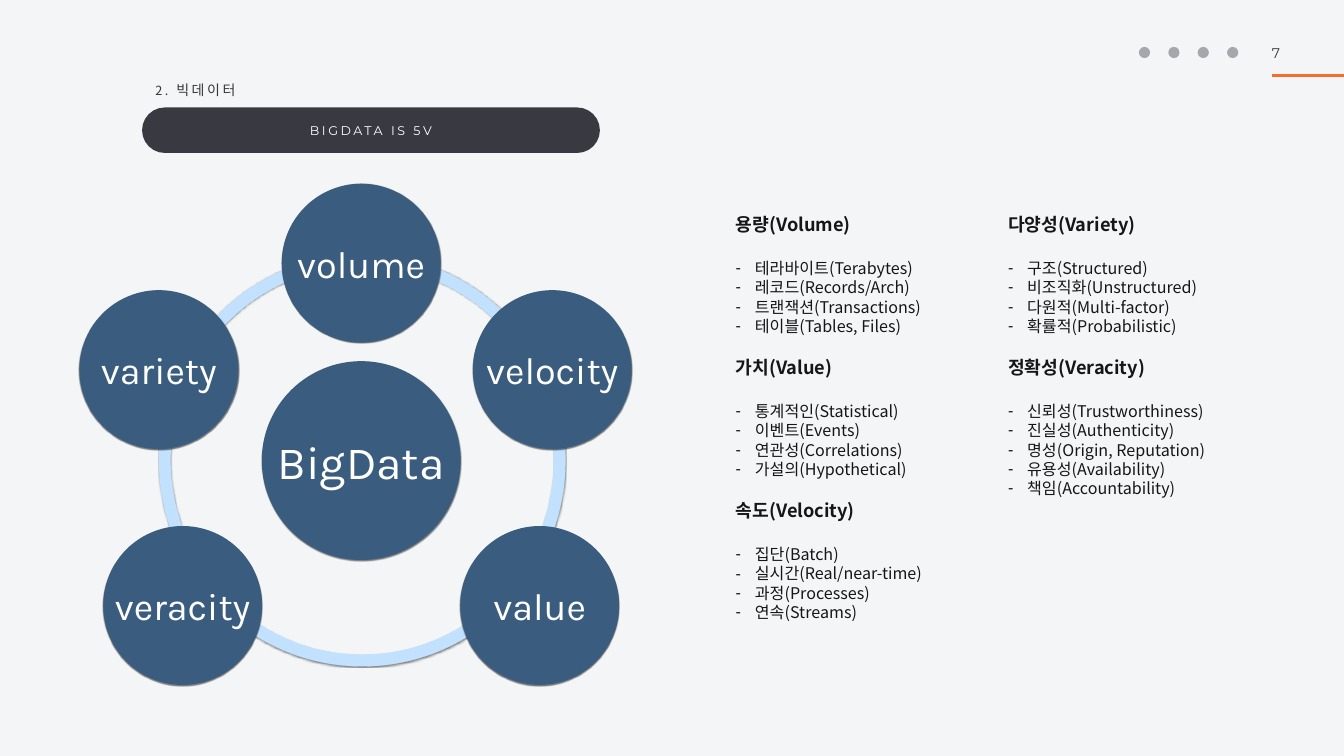
from lxml import etree
from pptx import Presentation
from pptx.dml.color import RGBColor
from pptx.enum import shapes as sh, text as tx
from pptx.oxml.ns import qn
from pptx.util import Pt

KOREAN = "Noto Sans CJK KR"
INK, NAVY, SKY, DARK = "151618", "395C7F", "C1E1FE", "393941"
BULLET_INDENT = 27.4

LEFT_TOPICS = [
    ("용량(Volume)", ["테라바이트(Terabytes)", "레코드(Records/Arch)",
                    "트랜잭션(Transactions)", "테이블(Tables, Files)"]),
    ("가치(Value)", ["통계적인(Statistical)", "이벤트(Events)",
                   "연관성(Correlations)", "가설의(Hypothetical)"]),
    ("속도(Velocity)", ["집단(Batch)", "실시간(Real/near-time)",
                      "과정(Processes)", "연속(Streams)"]),
]
RIGHT_TOPICS = [
    ("다양성(Variety)", ["구조(Structured)", "비조직화(Unstructured)",
                      "다원적(Multi-factor)", "확률적(Probabilistic)"]),
    ("정확성(Veracity)", ["신뢰성(Trustworthiness)", "진실성(Authenticity)",
                       "명성(Origin, Reputation)", "유용성(Availability)",
                       "책임(Accountability)"]),
]
# label, centre x, centre y, diameter, text size
BUBBLES = [
    ("BigData", 516, 658, 284, 66),
    ("velocity", 789, 528, 227, 54),
    ("volume", 516, 376, 227, 54),
    ("variety", 227, 528, 227, 54),
    ("value", 771, 865, 227, 54),
    ("veracity", 261, 865, 227, 54),
]


def color(value):
    return RGBColor.from_string(value)


def place(shape, left, top, width, height):
    shape.left, shape.top = Pt(left), Pt(top)
    shape.width, shape.height = Pt(width), Pt(height)


def set_frame(frame, anchor, inset=3, wrap=True):
    frame.auto_size = tx.MSO_AUTO_SIZE.NONE
    frame.word_wrap = wrap
    frame.vertical_anchor = anchor
    frame.margin_left = frame.margin_right = Pt(inset)
    frame.margin_top = frame.margin_bottom = Pt(inset)


def set_font(paragraph, name, size, ink, bold=False, tracking=0):
    """Format a whole paragraph; tracking is letter spacing in points."""
    font = paragraph.font
    font.name, font.size, font.bold = name, Pt(size), bold
    font.color.rgb = color(ink)
    if tracking:
        defaults = paragraph._p.pPr.find(qn("a:defRPr"))
        defaults.set("spc", str(round(tracking * 100)))


def set_bullet(paragraph, char=None):
    props = paragraph._p.get_or_add_pPr()
    indent = Pt(BULLET_INDENT) if char else 0
    props.set("marL", str(indent))
    props.set("indent", str(-indent))
    if char:
        etree.SubElement(props, qn("a:buChar")).set("char", char)
    else:
        etree.SubElement(props, qn("a:buNone"))


def add_solid(slide, kind, box, fill, line_width=0):
    solid = slide.shapes.add_shape(kind, *map(Pt, box))
    solid.shadow.inherit = False
    solid.fill.solid()
    solid.fill.fore_color.rgb = color(fill)
    if line_width:
        solid.line.color.rgb = color(fill)
        solid.line.width = Pt(line_width)
    else:
        solid.line.fill.background()
    return solid


def add_soft_shadow(shape):
    effects = shape._element.spPr.find(qn("a:effectLst"))
    shadow = etree.SubElement(effects, qn("a:outerShdw"), blurRad=str(Pt(1)),
                              dist=str(Pt(1)), dir="5400000", rotWithShape="0")
    black = etree.SubElement(shadow, qn("a:srgbClr"), val="000000")
    etree.SubElement(black, qn("a:alpha"), val="50000")


def add_label(shape, label, font_name, size, tracking=0):
    set_frame(shape.text_frame, tx.MSO_ANCHOR.MIDDLE, inset=0, wrap=False)
    paragraph = shape.text_frame.paragraphs[0]
    paragraph.text = label
    paragraph.alignment = tx.PP_ALIGN.CENTER
    set_font(paragraph, font_name, size, "FFFFFF", tracking=tracking)


def add_bubble(slide, label, x, y, diameter, size):
    box = (x - diameter / 2, y - diameter / 2, diameter, diameter)
    bubble = add_solid(slide, sh.MSO_SHAPE.FLOWCHART_CONNECTOR, box, NAVY)
    add_soft_shadow(bubble)
    add_label(bubble, label, "Karla", size)


def fill_topics(column, topics):
    """Write headed lists into one body placeholder on a fixed line grid."""
    frame = column.text_frame
    set_frame(frame, tx.MSO_ANCHOR.TOP)
    lines = [(row, i == 0) for heading, items in topics
             for i, row in enumerate([heading, *items])]
    for number, (row, is_heading) in enumerate(lines):
        paragraph = frame.add_paragraph() if number else frame.paragraphs[0]
        paragraph.text = row
        paragraph.alignment = tx.PP_ALIGN.LEFT
        paragraph.line_spacing = Pt(32 if is_heading else 27.6)
        paragraph.space_before = Pt(29 if is_heading and number else 0)
        paragraph.space_after = Pt(33 if is_heading else 0)
        set_bullet(paragraph, None if is_heading else "-")
        set_font(paragraph, KOREAN, 26 if is_heading else 23, INK, is_heading)


def fill_section_title(title):
    place(title, 219, 113, 305, 30)
    set_frame(title.text_frame, tx.MSO_ANCHOR.MIDDLE)
    paragraph = title.text_frame.paragraphs[0]
    paragraph.alignment = tx.PP_ALIGN.LEFT
    set_font(paragraph, KOREAN, 20, "34383B", tracking=3.6)
    for part, size in (("2. ", 18), ("빅데이터", 20)):
        run = paragraph.add_run()
        run.text = part
        run.font.size = Pt(size)


def add_page_corner(slide):
    for i in range(4):
        add_solid(slide, sh.MSO_SHAPE.OVAL, (1627 + 42 * i, 67, 16, 16), "A6A7AC")
    rule = slide.shapes.add_connector(sh.MSO_CONNECTOR.STRAIGHT,
                                      Pt(1817), Pt(108), Pt(1920), Pt(108))
    rule.line.color.rgb = color("F56C2E")
    rule.line.width = Pt(4)
    etree.SubElement(rule._element.spPr, qn("a:effectLst"))
    page = slide.shapes.add_textbox(Pt(1814), Pt(60), Pt(47), Pt(30))
    set_frame(page.text_frame, tx.MSO_ANCHOR.TOP)
    number = page.text_frame.paragraphs[0]
    number.text = "7"
    set_font(number, "Montserrat", 20, DARK, tracking=4)


def main():
    deck = Presentation()
    deck.slide_width, deck.slide_height = Pt(1920), Pt(1080)
    slide = deck.slides.add_slide(deck.slide_layouts.get_by_name("Two Content"))
    slide.background.fill.solid()
    slide.background.fill.fore_color.rgb = color("F4F5F7")

    fill_section_title(slide.shapes.title)
    left_column, right_column = list(slide.placeholders)[1:]
    place(left_column, 1048, 301, 389, 589)
    place(right_column, 1437, 301, 483, 412)
    fill_topics(left_column, LEFT_TOPICS)
    fill_topics(right_column, RIGHT_TOPICS)

    add_page_corner(slide)
    banner = add_solid(slide, sh.MSO_SHAPE.ROUNDED_RECTANGLE,
                       (204.5, 155, 651, 62), DARK, 3)
    banner.adjustments[0] = 0.5
    add_label(banner, "BIGDATA IS 5V", "Montserrat", 18, tracking=3.6)

    ring = add_solid(slide, sh.MSO_SHAPE.DONUT, (227, 363, 581, 589), SKY, 0.25)
    ring.adjustments[0] = 0.029
    add_soft_shadow(ring)
    for bubble in BUBBLES:
        add_bubble(slide, *bubble)
    deck.save("out.pptx")


if __name__ == "__main__":
    main()
